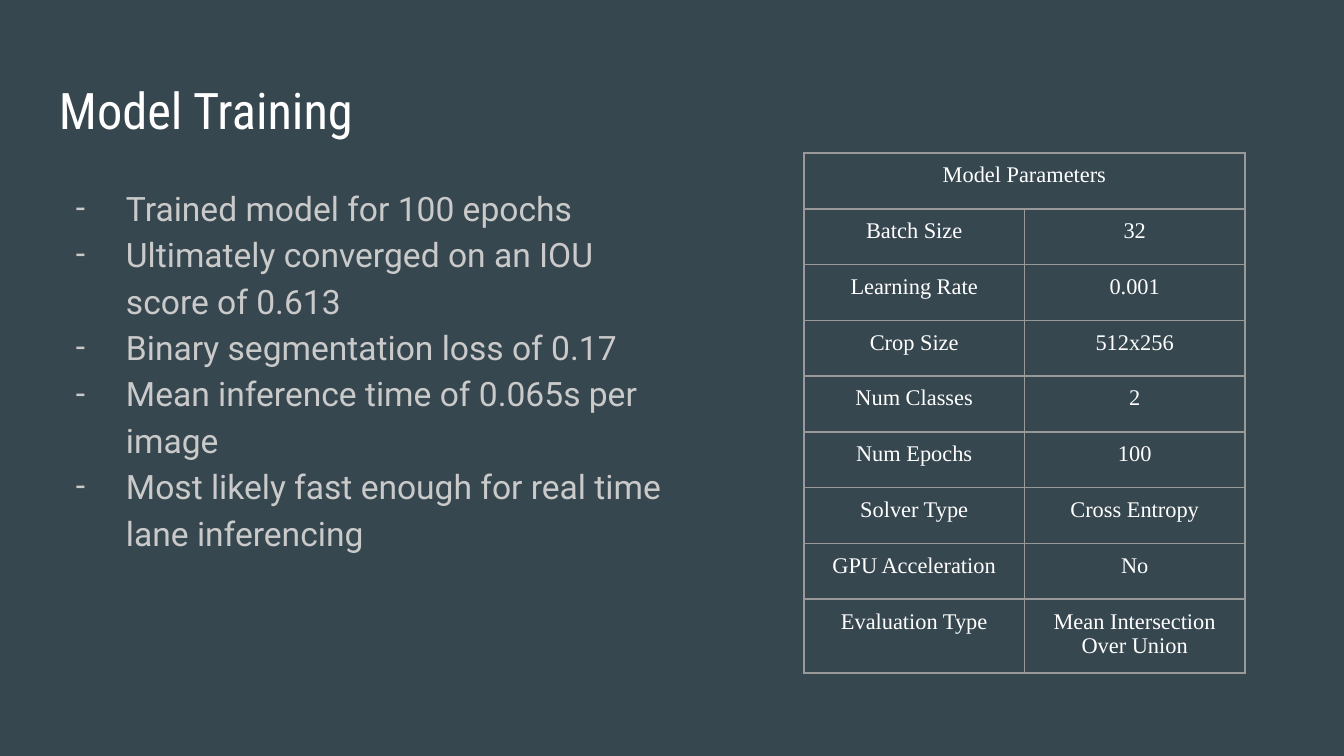
import lxml.etree
import pptx
import pptx.dml.color
import pptx.enum.text
import pptx.oxml.ns
import pptx.util

EMU_PER_PX = 914400 / 134.4
CENTER = pptx.enum.text.PP_ALIGN.CENTER

BACKGROUND = "37474F"
TITLE_FONT = {"name": "Roboto Condensed", "size": 27, "color": "FFFFFF"}
BODY_FONT = {"name": "Roboto", "size": 18, "color": "CACACA"}
TABLE_FONT = {"name": "Times New Roman", "size": 12, "color": "FFFFFF"}
BORDER_COLOR = "999999"
BORDER_WIDTH = 1

BULLETS = [
    "Trained model for 100 epochs",
    "Ultimately converged on an IOU score of 0.613",
    "Binary segmentation loss of 0.17",
    "Mean inference time of 0.065s per image",
    "Most likely fast enough for real time lane inferencing",
]
PARAMETERS = [
    ("Batch Size", "32"),
    ("Learning Rate", "0.001"),
    ("Crop Size", "512x256"),
    ("Num Classes", "2"),
    ("Num Epochs", "100"),
    ("Solver Type", "Cross Entropy"),
    ("GPU Acceleration", "No"),
    ("Evaluation Type", "Mean Intersection Over Union"),
]


def px(length):
    return pptx.util.Emu(round(length * EMU_PER_PX))


def rgb(color):
    return pptx.dml.color.RGBColor.from_string(color)


def set_all(target, values):
    for name, value in values.items():
        setattr(target, name, value)


def add_element(parent, tag, **attributes):
    return lxml.etree.SubElement(parent, pptx.oxml.ns.qn(tag), attributes)


def margins(length):
    sides = ("left", "top", "right", "bottom")
    return {f"margin_{side}": px(length) for side in sides}


class SlideBuilder:
    def __init__(self, deck):
        self.page = deck.slides.add_slide(deck.slide_layouts[6])
        fill = self.page.background.fill
        fill.solid()
        fill.fore_color.rgb = rgb(BACKGROUND)

    def add_span(self, para, text, font):
        span = para.add_run()
        span.text = text
        set_all(span.font, {"name": font["name"], "size": pptx.util.Pt(font["size"])})
        span.font.color.rgb = rgb(font["color"])

    def text_frame(self, left, top, width, height):
        box = self.page.shapes.add_textbox(px(left), px(top), px(width), px(height))
        set_all(box.text_frame, {"word_wrap": True, **margins(13)})
        return box.text_frame

    def title(self, text, *place):
        self.add_span(self.text_frame(*place).paragraphs[0], text, TITLE_FONT)

    def bullets(self, lines, *place):
        frame = self.text_frame(*place)
        for index, line in enumerate(lines):
            para = frame.add_paragraph() if index else frame.paragraphs[0]
            para.line_spacing = 1.15
            properties = para._p.get_or_add_pPr()
            properties.set("marL", str(px(67)))
            properties.set("indent", str(-px(50)))
            color = add_element(properties, "a:buClr")
            add_element(color, "a:srgbClr", val=BODY_FONT["color"])
            add_element(properties, "a:buFont", typeface=BODY_FONT["name"])
            add_element(properties, "a:buChar", char="-")
            self.add_span(para, line, BODY_FONT)

    def border(self, cell):
        properties = cell._tc.get_or_add_tcPr()
        for index, tag in enumerate(("a:lnL", "a:lnR", "a:lnT", "a:lnB")):
            width = str(pptx.util.Pt(BORDER_WIDTH))
            line = add_element(properties, tag, w=width)
            fill = add_element(line, "a:solidFill")
            add_element(fill, "a:srgbClr", val=BORDER_COLOR)
            properties.insert(index, line)

    def table(self, heading, rows, left, top, width, height):
        content = [(heading, ""), *rows]
        frame = self.page.shapes.add_table(
            len(content), 2, px(left), px(top), px(width), px(height))
        table = frame.table
        set_all(table, {"first_row": False, "horz_banding": False})
        table.cell(0, 0).merge(table.cell(0, 1))
        for row, texts in enumerate(content):
            for column, text in enumerate(texts):
                cell = table.cell(row, column)
                set_all(cell, margins(10))
                cell.fill.background()
                self.border(cell)
                if text:
                    para = cell.text_frame.paragraphs[0]
                    para.alignment = CENTER
                    self.add_span(para, text, TABLE_FONT)


def main():
    deck = pptx.Presentation()
    set_all(deck, {"slide_width": px(1344), "slide_height": px(756)})
    slide = SlideBuilder(deck)

    # Heading and findings
    slide.title("Model Training", 46, 66, 1252, 85)
    slide.bullets(BULLETS, 46, 169, 649, 503)

    # Training parameters
    slide.table("Model Parameters", PARAMETERS, 804, 153, 441, 502)

    deck.save("out.pptx")


if __name__ == "__main__":
    main()
